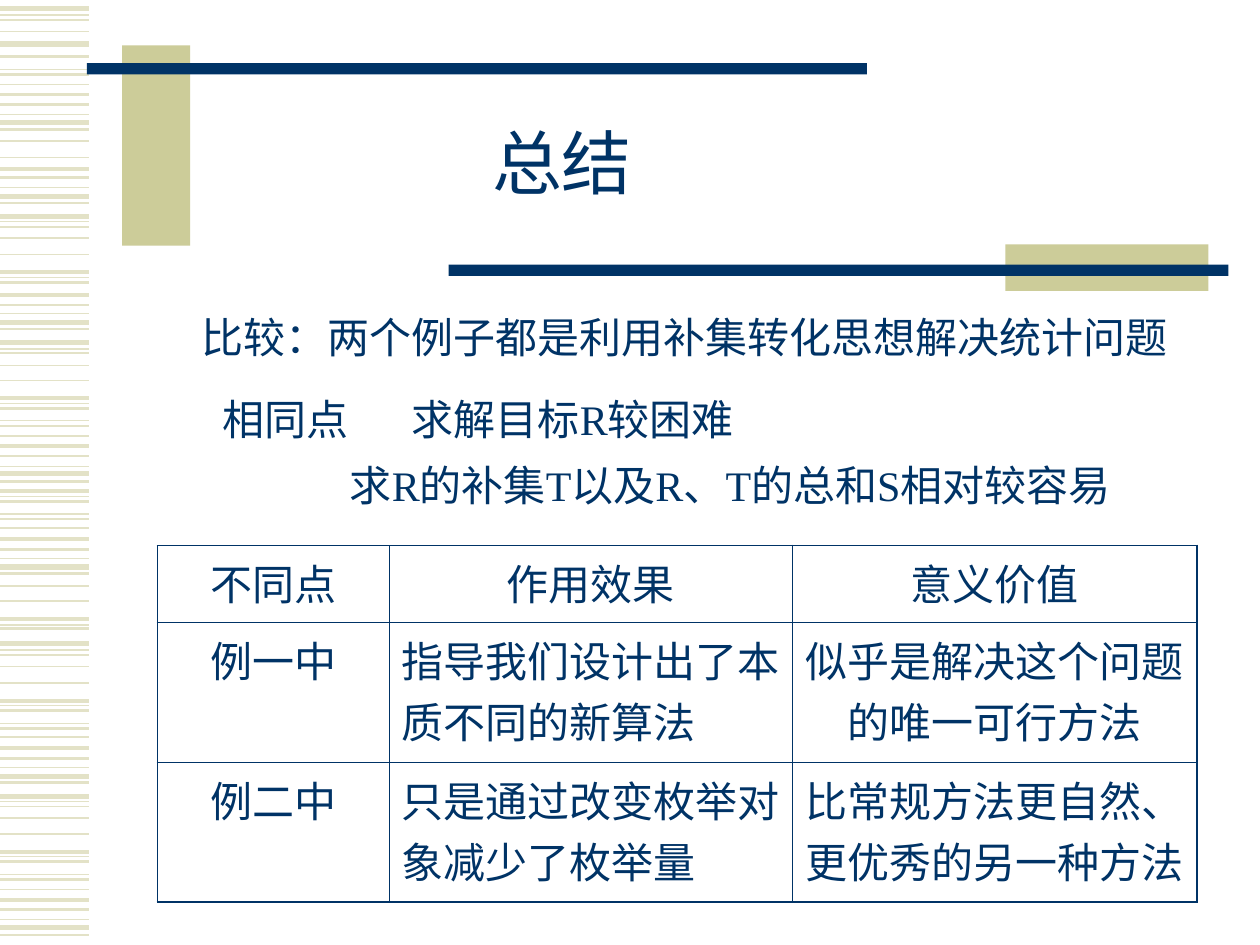
from lxml import etree
from pptx import Presentation
from pptx.dml.color import RGBColor
from pptx.enum.shapes import MSO_CONNECTOR, MSO_SHAPE
from pptx.enum.text import MSO_ANCHOR, MSO_AUTO_SIZE, PP_ALIGN
from pptx.oxml.ns import qn
from pptx.util import Inches, Pt

LEFT, MID, JUST = PP_ALIGN.LEFT, PP_ALIGN.CENTER, PP_ALIGN.JUSTIFY
GROW, FIXED = MSO_AUTO_SIZE.SHAPE_TO_FIT_TEXT, MSO_AUTO_SIZE.NONE
RECT, LINE = MSO_SHAPE.RECTANGLE, MSO_CONNECTOR.STRAIGHT
TOP, MIDDLE = MSO_ANCHOR.TOP, MSO_ANCHOR.MIDDLE
COLOR = {"navy": "003366", "khaki": "CCCC99", "pale": "E3E2C7"}
FONT = "Times New Roman"

TITLE = "总结"
INTRO = "比较：两个例子都是利用补集转化思想解决统计问题"
SAME = "\t相同点\t求解目标R较困难"
GOAL = "求R的补集T以及R、T的总和S相对较容易"
ROWS = [
    ("不同点", "作用效果", "意义价值"),
    ("例一中", "指导我们设计出了本质不同的新算法", "似乎是解决这个问题的唯一可行方法"),
    ("例二中", "只是通过改变枚举对象减少了枚举量", "比常规方法更自然、更优秀的另一种方法"),
]
ALIGN = [(MID, MID, MID), (MID, LEFT, MID), (MID, LEFT, LEFT)]
WIDTHS = [1.84, 3.2, 3.21]
HEIGHTS = [0.61, 1.11, 1.11]
THIN, THICK = 0.45, 1.08
BARS = [
    ("khaki", 0.97, 0.36, 0.54, 1.59),
    ("navy", 0.69, 0.5, 6.19, 0.09),
    ("khaki", 7.98, 1.94, 1.61, 0.37),
    ("navy", 3.56, 2.1, 6.19, 0.09),
]
STRIPES = {
    0.75: [0.12, 0.55, 0.91, 1.49, 1.76, 2.2, 2.49, 2.77, 3.2, 3.34, 3.7, 3.94,
           4.08, 4.43, 4.96, 5.16, 5.6, 5.74, 6.09, 6.36, 6.8, 6.94, 7.3],
    1: [0.16, 0.25, 0.67, 1.12, 1.25, 1.8, 1.89, 2.02, 2.8, 2.9, 3.02, 3.46,
        4.19, 4.65, 4.77, 5.2, 5.29, 5.42, 5.85, 6.4, 6.49, 6.62, 7.06],
    1.5: [0.45, 0.59, 0.83, 1.03, 1.41, 1.61, 2.24, 2.42, 2.61, 3.24, 3.38,
          3.62, 3.82, 3.98, 4.12, 4.36, 4.55, 4.99, 5.64, 5.78, 6.02, 6.21,
          6.84, 6.98, 7.22, 7.42],
    2.25: [0.75, 1.34, 2.16, 2.34, 3.16, 3.54, 3.9, 4.28, 4.91, 5.56, 5.94,
           6.76, 7.14],
    3: [0.07, 0.35, 0.97, 1.56, 1.72, 2.56, 2.72, 3.76, 4.5, 5.11, 6.16, 6.32,
        7.36],
}


def rgb(name):
    return RGBColor.from_string(COLOR[name])


def write(par, text, size=24, align=LEFT, before=0, space=None, indent=0, tabs=()):
    par.text = text
    par.alignment = align
    par.space_before = Pt(before)
    par.line_spacing = space
    props = par._p.get_or_add_pPr()
    props.set("marL", str(Inches(indent)))
    props.set("indent", "0")
    if tabs:
        stops = etree.SubElement(props, qn("a:tabLst"))
        for pos in tabs:
            etree.SubElement(stops, qn("a:tab"), pos=str(Inches(pos)), algn="l")
    font = par.runs[0].font
    font.name, font.size, font.bold = FONT, Pt(size), False
    font.color.rgb = rgb("navy")


def add_box(slide, *place):
    frame = slide.shapes.add_textbox(*map(Inches, place)).text_frame
    frame.word_wrap = True
    frame.auto_size = GROW
    return frame


def add_stripe(slide, y, weight):
    line = slide.shapes.add_connector(LINE, 0, Inches(y), Inches(0.71), Inches(y))
    line.line.color.rgb = rgb("pale")
    line.line.width = Pt(weight)
    etree.SubElement(line._element.spPr, qn("a:effectLst"))


def add_bar(slide, color, *place):
    bar = slide.shapes.add_shape(RECT, *map(Inches, place))
    bar.shadow.inherit = False
    bar.fill.solid()
    bar.fill.fore_color.rgb = rgb(color)
    bar.line.fill.background()


def set_edges(cell, edges):
    props = cell._tc.get_or_add_tcPr()
    for i, (side, weight) in enumerate(edges.items()):
        line = etree.Element(qn("a:ln" + side), w=str(Pt(weight)))
        fill = etree.SubElement(line, qn("a:solidFill"))
        etree.SubElement(fill, qn("a:srgbClr"), val=COLOR["navy"])
        props.insert(i, line)


def add_grid(slide):
    last = len(ROWS) - 1
    place = (1.25, 4.33, sum(WIDTHS), sum(HEIGHTS))
    grid = slide.shapes.add_table(len(ROWS), len(WIDTHS), *map(Inches, place)).table
    grid.first_row = grid.horz_banding = False
    for col, width in zip(grid.columns, WIDTHS):
        col.width = Inches(width)
    for r, texts in enumerate(ROWS):
        grid.rows[r].height = Inches(HEIGHTS[r])
        for c, text in enumerate(texts):
            cell = grid.cell(r, c)
            cell.fill.background()
            cell.vertical_anchor = TOP
            write(cell.text_frame.paragraphs[0], text, align=ALIGN[r][c])
            set_edges(cell, {
                "L": THICK if c == 0 else THIN,
                "R": THICK if c == len(WIDTHS) - 1 else THIN,
                "T": THICK if r == 0 and c > 0 else THIN,
                "B": THICK if r == last else THIN,
            })


def main():
    """Build the summary slide and save it."""
    deck = Presentation()
    deck.slide_width, deck.slide_height = Inches(10), Inches(7.5)
    slide = deck.slides.add_slide(deck.slide_layouts[5])
    for weight, spots in STRIPES.items():
        for y in spots:
            add_stripe(slide, y, weight)
    for bar in BARS:
        add_bar(slide, *bar)

    title = slide.shapes.title
    title.left, title.top = Inches(3.17), Inches(1)
    title.width, title.height = Inches(2.58), Inches(0.67)
    frame = title.text_frame
    frame.auto_size, frame.vertical_anchor = FIXED, MIDDLE
    write(frame.paragraphs[0], TITLE, size=40, align=MID, space=0.85)

    intro = add_box(slide, 1.5, 2.42, 7.92, 0.5)
    write(intro.paragraphs[0], INTRO, align=JUST)
    add_grid(slide)
    same = add_box(slide, 1.17, 3.07, 8.25, 1.11)
    write(same.paragraphs[0], SAME, tabs=(0.48, 3.15))
    write(same.add_paragraph(), GOAL, align=MID, before=9, indent=1)
    deck.save("out.pptx")


if __name__ == "__main__":
    main()
